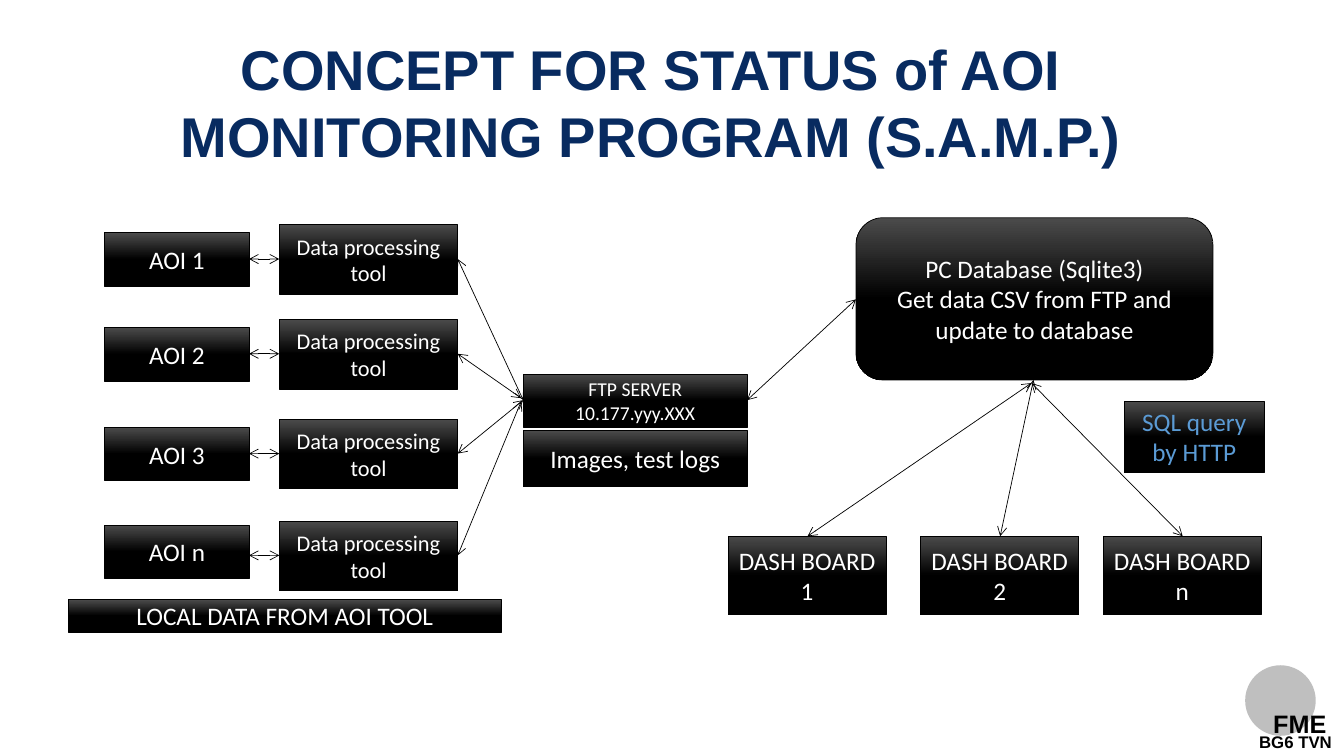
"""Build the S.A.M.P. concept slide: AOI tools, FTP server, database and dash boards."""
from dataclasses import dataclass

import pptx
import pptx.dml.color
import pptx.enum.shapes
import pptx.enum.text
import pptx.oxml
import pptx.oxml.ns
import pptx.util
from pptx.enum.shapes import MSO_SHAPE
from pptx.enum.text import MSO_ANCHOR, PP_ALIGN

EMU_PER_PX = 9144
BLACK = "000000"
WHITE = "FFFFFF"
NAVY = "082B60"
BLUE = "5B9BD5"
GREY = "BFBFBF"
SHEEN = "4B4B4B"


@dataclass(frozen=True)
class Box:
    left: int
    top: int
    width: int
    height: int
    lines: tuple[str, ...]
    size: int = 18
    color: str = WHITE
    kind: MSO_SHAPE = MSO_SHAPE.RECTANGLE
    anchor: MSO_ANCHOR = MSO_ANCHOR.MIDDLE
    wrap: bool = True


@dataclass(frozen=True)
class Arrow:
    x1: int
    y1: int
    x2: int
    y2: int


@dataclass(frozen=True)
class Row:
    name: str
    aoi_top: int
    tool_top: int
    server_x: int
    server_y: int


@dataclass(frozen=True)
class DashBoard:
    name: str
    left: int
    start: tuple[int, int]


ROWS = (
    Row("1", 231, 223, 519, 397),
    Row("2", 325, 317, 517, 395),
    Row("3", 424, 416, 519, 397),
    Row("n", 521, 517, 517, 398),
)
DASH_BOARDS = (
    DashBoard("1", 722, (1023, 380)),
    DashBoard("2", 913, (1025, 377)),
    DashBoard("n", 1094, (1023, 380)),
)
BOXES = (
    Box(519, 371, 222, 53, ("FTP SERVER", "10.177.yyy.XXX"), size=14),
    Box(519, 427, 222, 56, ("Images, test logs",)),
    Box(849, 216, 354, 161,
        ("PC Database (Sqlite3)", "Get data CSV from FTP and update to database"),
        kind=MSO_SHAPE.ROUNDED_RECTANGLE),
    Box(68, 595, 429, 32, ("LOCAL DATA FROM AOI TOOL",)),
    Box(1115, 398, 139, 71, ("SQL query", "by HTTP"), color=BLUE,
        anchor=MSO_ANCHOR.TOP, wrap=False),
)


def px(n: int) -> pptx.util.Emu:
    """Turn px into EMU."""
    return pptx.util.Emu(n * EMU_PER_PX)


def rgb(value: str) -> pptx.dml.color.RGBColor:
    """Turn a hex string into a colour."""
    return pptx.dml.color.RGBColor.from_string(value)


def write(tf, lines: tuple[str, ...], size: int, color: str, font: str,
          bold: bool = False, align: PP_ALIGN = PP_ALIGN.CENTER) -> None:
    """Fill a text frame with one paragraph per line."""
    for i, line in enumerate(lines):
        p = tf.paragraphs[0] if i == 0 else tf.add_paragraph()
        p.text = line
        p.alignment = align
        p.font.name = font
        p.font.size = pptx.util.Pt(size)
        p.font.bold = bold
        p.font.color.rgb = rgb(color)


def add_box(s, box: Box) -> None:
    """Draw a glossy black box with centred text."""
    sp = s.shapes.add_shape(box.kind, px(box.left), px(box.top), px(box.width), px(box.height))
    sp.shadow.inherit = False
    sp.fill.gradient()
    sp.fill.gradient_angle = 270
    for stop, (position, color) in zip(sp.fill.gradient_stops, ((0, SHEEN), (0.5, BLACK))):
        stop.position = position
        stop.color.rgb = rgb(color)
    sp.line.color.rgb = rgb(BLACK)
    sp.line.width = pptx.util.Pt(0.5)
    tf = sp.text_frame
    tf.word_wrap = box.wrap
    tf.vertical_anchor = box.anchor
    write(tf, box.lines, box.size, box.color, "Calibri")


def add_arrow(s, arrow: Arrow) -> None:
    """Draw a thin line with open arrowheads at both ends."""
    cx = s.shapes.add_connector(pptx.enum.shapes.MSO_CONNECTOR.STRAIGHT,
                                px(arrow.x1), px(arrow.y1), px(arrow.x2), px(arrow.y2))
    cx.line.color.rgb = rgb(BLACK)
    cx.line.width = pptx.util.Pt(0.5)
    ln = cx.line._get_or_add_ln()
    for tag in ("a:headEnd", "a:tailEnd"):
        ln.append(pptx.oxml.parse_xml(f'<{tag} {pptx.oxml.ns.nsdecls("a")} type="arrow"/>'))
    cx._element.spPr.append(pptx.oxml.parse_xml(f'<a:effectLst {pptx.oxml.ns.nsdecls("a")}/>'))


def add_badge(s) -> None:
    """Draw the team label over a plain grey disc."""
    sp = s.shapes.add_shape(MSO_SHAPE.OVAL, px(1235), px(660), px(70), px(70))
    sp.shadow.inherit = False
    sp.fill.solid()
    sp.fill.fore_color.rgb = rgb(GREY)
    sp.line.fill.background()
    for text, left, top, width, height, size in (
            ("FME", 1253, 698, 77, 40, 18), ("BG6 TVN", 1239, 721, 93, 30, 12)):
        tb = s.shapes.add_textbox(px(left), px(top), px(width), px(height))
        tf = tb.text_frame
        tf.word_wrap = False
        tf.margin_right = 0
        write(tf, (text,), size, BLACK, "Arial", True, PP_ALIGN.LEFT)


def set_title(s) -> None:
    """Place and format the slide title."""
    title = s.shapes.title
    title.left, title.top, title.width, title.height = px(111), px(29), px(1069), px(145)
    tf = title.text_frame
    tf.word_wrap = True
    tf.auto_size = pptx.enum.text.MSO_AUTO_SIZE.NONE
    tf.vertical_anchor = MSO_ANCHOR.TOP
    write(tf, ("CONCEPT FOR STATUS of AOI MONITORING PROGRAM (S.A.M.P.)",), 40, NAVY, "Arial", True)


def main() -> None:
    """Build and save the slide."""
    prs = pptx.Presentation()
    prs.slide_width, prs.slide_height = px(1333), px(750)
    s = prs.slides.add_slide(prs.slide_layouts[5])
    set_title(s)
    add_badge(s)
    for box in BOXES:
        add_box(s, box)
    for row in ROWS:
        y = row.tool_top + 34
        add_box(s, Box(104, row.aoi_top, 143, 53, (f"AOI {row.name}",)))
        add_box(s, Box(277, row.tool_top, 177, 69, ("Data processing tool",), size=16))
        add_arrow(s, Arrow(247, y, 277, y))
        add_arrow(s, Arrow(454, y, row.server_x, row.server_y))
    add_arrow(s, Arrow(741, 397, 849, 297))
    for board in DASH_BOARDS:
        add_box(s, Box(board.left, 532, 157, 78, (f"DASH BOARD {board.name}",)))
        add_arrow(s, Arrow(*board.start, board.left + 79, 532))
    prs.save("out.pptx")


if __name__ == "__main__":
    main()
